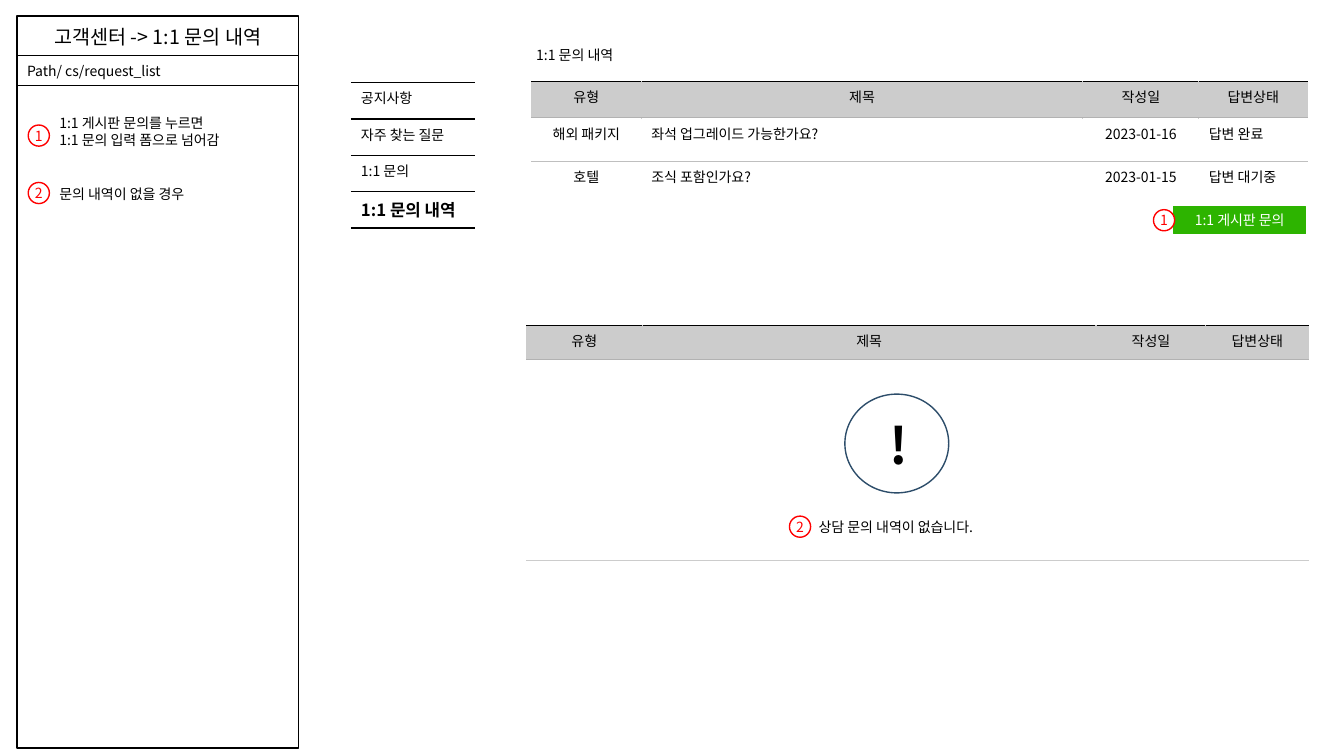
from lxml.etree import SubElement
from pptx import Presentation
from pptx.dml.color import RGBColor
from pptx.enum.shapes import MSO_SHAPE
from pptx.enum.text import MSO_ANCHOR, PP_ALIGN
from pptx.oxml.ns import qn
from pptx.util import Inches, Pt

FONT = "Noto Sans CJK KR"
PLAIN_TABLE = "{2D5ABB26-0587-4C30-8999-92F81FD0307C}"
COLORS = {"black": "000000", "white": "FFFFFF", "red": "FF0000", "green": "2DB400",
          "navy": "2D4D6A", "header": "CCCCCC", "edge": "B2B2B2", "divider": "BFBFBF"}
LEFT, CENTER = PP_ALIGN.LEFT, PP_ALIGN.CENTER

TITLE = "고객센터 -> 1:1 문의 내역"
ROUTE = "Path/ cs/request_list"
PANEL_LEFT, PANEL_WIDTH = 0.17, 2.79
HEADINGS = ["유형", "제목", "작성일", "답변상태"]
INQUIRIES = [
    ["해외 패키지", "좌석 업그레이드 가능한가요?", "2023-01-16", "답변 완료"],
    ["호텔", "조식 포함인가요?", "2023-01-15", "답변 대기중"],
]
INQUIRY_ALIGNS = [CENTER, LEFT, CENTER, LEFT]
MENU = ["공지사항", "자주 찾는 질문", "1:1 문의", "1:1 문의 내역"]
TEXTS = [
    ((5.22, 0.41, 4.49, 0.27), ["1:1 문의 내역"], 10, False),
    ((8.02, 5.09, 3.15, 0.27), ["상담 문의 내역이 없습니다."], 10, False),
    ((8.72, 4.06, 0.49, 0.71), ["!"], 36, True),
    ((0.49, 1.09, 2, 0.44), ["1:1 게시판 문의를 누르면", "1:1 문의 입력 폼으로 넘어감"], 10, False),
    ((0.49, 1.79, 1.72, 0.27), ["문의 내역이 없을 경우"], 10, False),
]
MARKERS = [(0.28, 1.24, "1"), (0.28, 1.81, "2"), (7.83, 5.12, "2"), (11.44, 2.08, "1")]
MARKER_SIZE = 0.21


def color(name):
    return RGBColor.from_string(COLORS[name])


def write(frame, lines, size=10, ink="black", align=LEFT, bold=False):
    for index, line in enumerate(lines):
        para = frame.paragraphs[0] if index == 0 else frame.add_paragraph()
        para.alignment = align
        span = para.add_run()
        span.text = line
        span.font.size = Pt(size)
        span.font.bold = bold
        span.font.color.rgb = color(ink)
        span.font.name = FONT
        SubElement(span.font._element, qn("a:ea"), typeface=FONT)


def paint(shape, fill, line, weight=1):
    if fill:
        shape.fill.solid()
        shape.fill.fore_color.rgb = color(fill)
    else:
        shape.fill.background()
    shape.line.color.rgb = color(line)
    shape.line.width = Pt(weight)


def add_box(page, place, fill, line, kind=MSO_SHAPE.RECTANGLE, weight=1):
    shape = page.shapes.add_shape(kind, *map(Inches, place))
    shape.shadow.inherit = False
    paint(shape, fill, line, weight)
    shape.text_frame.vertical_anchor = MSO_ANCHOR.MIDDLE
    return shape


def add_text(page, place, lines, size, bold):
    frame = page.shapes.add_textbox(*map(Inches, place)).text_frame
    frame.word_wrap = True
    write(frame, lines, size, bold=bold)


def add_grid(page, left, top, widths, heights):
    table = page.shapes.add_table(len(heights), len(widths), Inches(left), Inches(top),
                                  Inches(sum(widths)), Inches(sum(heights))).table
    table.first_row = table.horz_banding = False
    table._tbl.tblPr[0].text = PLAIN_TABLE
    for column, width in zip(table.columns, widths):
        column.width = Inches(width)
    for row, height in zip(table.rows, heights):
        row.height = Inches(height)
    return table


def style_cell(cell, borders, fill=None):
    properties = cell._tc.get_or_add_tcPr()
    for side in "LRTB":
        if side in borders:
            name, weight = borders[side]
            line = SubElement(properties, qn(f"a:ln{side}"), w=str(Pt(weight)))
            SubElement(SubElement(line, qn("a:solidFill")), qn("a:srgbClr"), val=COLORS[name])
    if fill:
        cell.fill.solid()
        cell.fill.fore_color.rgb = color(fill)
    else:
        cell.fill.background()


def fill_header(table):
    for index, heading in enumerate(HEADINGS):
        borders = {"T": ("black", 1), "B": ("edge", 1)}
        if index > 0:
            borders["L"] = ("header", 1)
        if index < len(HEADINGS) - 1:
            borders["R"] = ("header", 1)
        cell = table.cell(0, index)
        style_cell(cell, borders, "header")
        write(cell.text_frame, [heading], align=CENTER)


def add_history(page):
    table = add_grid(page, 5.27, 0.81, [1.09, 4.38, 1.15, 1.08], [0.36, 0.43, 0.43])
    fill_header(table)
    for row, inquiry in enumerate(INQUIRIES, 1):
        side, edge = ("T", "edge") if row == 1 else ("T", "divider")
        for column, (value, align) in enumerate(zip(inquiry, INQUIRY_ALIGNS)):
            cell = table.cell(row, column)
            borders = {side: (edge, 1)}
            if row < len(INQUIRIES):
                borders["B"] = ("divider", 1)
            style_cell(cell, borders)
            write(cell.text_frame, [value], align=align)


def add_empty_history(page):
    table = add_grid(page, 5.22, 3.23, [1.15, 4.5, 1.09, 1.02], [0.34, 1.99])
    fill_header(table)
    for column in range(len(HEADINGS)):
        style_cell(table.cell(1, column), {"T": ("edge", 1), "B": ("header", 1)})
    table.cell(1, 0).merge(table.cell(1, len(HEADINGS) - 1))


def add_menu(page):
    table = add_grid(page, 3.48, 0.82, [1.23], [0.36] * len(MENU))
    for row, label in enumerate(MENU):
        current = row == len(MENU) - 1
        cell = table.cell(row, 0)
        style_cell(cell, {"T": ("black", 1), "B": ("black", 1.5 if current else 1)})
        write(cell.text_frame, [label], 12 if current else 10, bold=current)


def main():
    deck = Presentation()
    deck.slide_width, deck.slide_height = Inches(13.33), Inches(7.5)
    page = deck.slides.add_slide(deck.slide_layouts[5])

    title = page.shapes.title
    title.left, title.top = Inches(PANEL_LEFT), Inches(0.16)
    title.width, title.height = Inches(PANEL_WIDTH), Inches(0.41)
    paint(title, "white", "black")
    title.text_frame.vertical_anchor = MSO_ANCHOR.MIDDLE
    write(title.text_frame, [TITLE], 14, align=CENTER)

    add_box(page, (PANEL_LEFT, 0.7, PANEL_WIDTH, 6.72), "white", "black")
    route = add_box(page, (PANEL_LEFT, 0.55, PANEL_WIDTH, 0.3), "white", "black")
    write(route.text_frame, [ROUTE])

    add_history(page)
    add_empty_history(page)
    add_menu(page)
    add_box(page, (8.38, 3.91, 1.03, 0.98), None, "navy", MSO_SHAPE.OVAL)
    button = add_box(page, (11.64, 2.05, 1.31, 0.27), "green", "green", weight=0.75)
    write(button.text_frame, ["1:1 게시판 문의"], ink="white", align=CENTER)

    for text in TEXTS:
        add_text(page, *text)
    for left, top, number in MARKERS:
        marker = add_box(page, (left, top, MARKER_SIZE, MARKER_SIZE), "white", "red", MSO_SHAPE.OVAL)
        frame = marker.text_frame
        frame.margin_left = frame.margin_right = frame.margin_top = frame.margin_bottom = 0
        frame.word_wrap = False
        write(frame, [number], ink="red", align=CENTER)

    deck.save("out.pptx")


if __name__ == "__main__":
    main()
